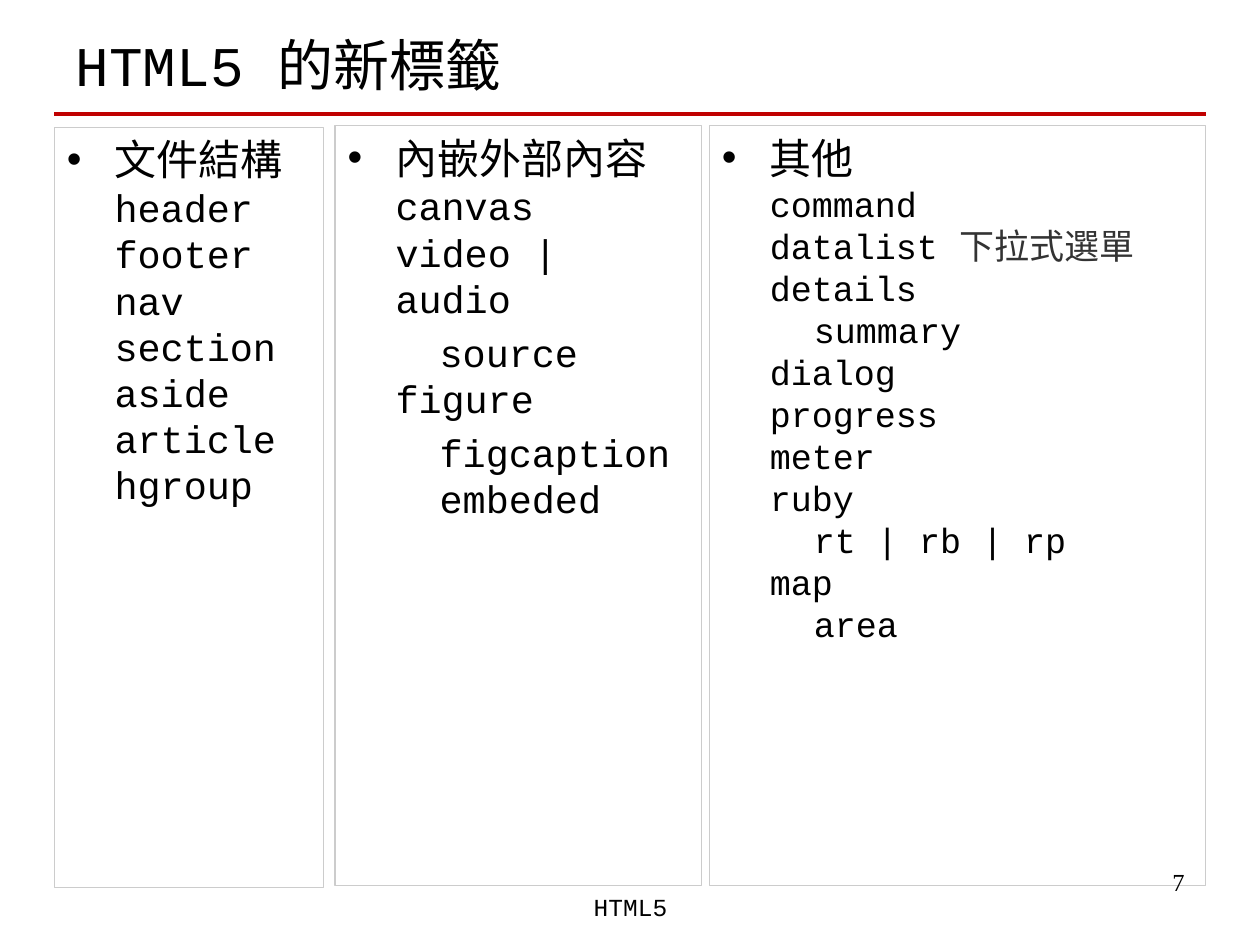
from dataclasses import dataclass

from lxml.etree import SubElement
from pptx import Presentation
from pptx.dml.color import RGBColor
from pptx.enum.shapes import MSO_CONNECTOR
from pptx.enum.text import MSO_ANCHOR, MSO_AUTO_SIZE, PP_ALIGN
from pptx.oxml.ns import qn
from pptx.slide import Slide
from pptx.util import Inches, Pt

BLACK = RGBColor(0x00, 0x00, 0x00)
GRAY = RGBColor(0x33, 0x33, 0x33)
BORDER = RGBColor(0xCC, 0xCC, 0xCC)
RED = RGBColor(0xC0, 0x00, 0x00)
WIDTH, HEIGHT = Inches(10), Inches(7.5)
MARGIN, NESTING = 0.38, 0.35

STRUCTURE = ["header", "footer", "nav", "section", "aside", "article", "hgroup"]
EMBEDDED = ["canvas", "video | audio", ">+source", "figure", ">+figcaption", ">embeded"]
OTHERS = ["command", "datalist |下拉式選單", "details", ">summary", "dialog",
          "progress", "meter", "ruby", ">rt | rb | rp", "map", ">area"]


@dataclass
class TagSlide:
    slide: Slide
    code_font: str = "Courier New"
    note_font: str = "Noto Sans CJK TC"
    number_font: str = "Times New Roman"

    def place(self, shape, left, top, width, height):
        shape.left, shape.width = int(left * WIDTH), int(width * WIDTH)
        shape.top, shape.height = int(top * HEIGHT), int(height * HEIGHT)

    def style(self, paragraph, size, font=None, align=PP_ALIGN.LEFT):
        paragraph.font.name = font or self.code_font
        paragraph.font.size = Pt(size)
        paragraph.font.bold = False
        paragraph.font.color.rgb = BLACK
        paragraph.alignment = align
        paragraph.space_before = paragraph.space_after = Pt(0)

    def title(self, text, *area):
        heading = self.slide.shapes.title
        self.place(heading, *area)
        heading.text_frame.text = text
        heading.text_frame.auto_size = MSO_AUTO_SIZE.NONE
        heading.text_frame.vertical_anchor = MSO_ANCHOR.MIDDLE
        self.style(heading.text_frame.paragraphs[0], 32)

    def rule(self, left, right, y):
        line = self.slide.shapes.add_connector(
            MSO_CONNECTOR.STRAIGHT, int(left * WIDTH), int(y * HEIGHT),
            int(right * WIDTH), int(y * HEIGHT))
        line.line.color.rgb = RED
        line.line.width = Pt(2.25)
        SubElement(line._element.spPr, qn("a:effectLst"))

    def label(self, text, align, font, *area):
        box = self.slide.shapes.add_textbox(0, 0, 0, 0)
        self.place(box, *area)
        box.text_frame.word_wrap = True
        box.text_frame.text = text
        self.style(box.text_frame.paragraphs[0], 14, font, align)

    def indent(self, paragraph, left, bullet=False):
        properties = paragraph._p.get_or_add_pPr()
        properties.set("marL", str(Inches(left)))
        properties.set("indent", str(Inches(-MARGIN if bullet else 0)))
        if bullet:
            color = SubElement(properties, qn("a:buClr"))
            SubElement(color, qn("a:srgbClr"), val=str(BLACK))
            SubElement(properties, qn("a:buFont"), typeface="Arial")
            SubElement(properties, qn("a:buChar"), char="•")
        else:
            SubElement(properties, qn("a:buNone"))

    def tag_list(self, index, heading, tags, size, *area):
        panel = self.slide.placeholders[index]
        self.place(panel, *area)
        panel.line.color.rgb = BORDER
        panel.line.width = Pt(0.75)
        frame = panel.text_frame
        frame.auto_size = MSO_AUTO_SIZE.NONE
        frame.vertical_anchor = MSO_ANCHOR.TOP
        frame.text = heading
        self.style(frame.paragraphs[0], 24)
        self.indent(frame.paragraphs[0], MARGIN, bullet=True)
        for tag in tags:
            self.tag(frame.add_paragraph(), tag, size)

    def tag(self, paragraph, tag, size):
        nested, spaced = tag.startswith(">"), tag.startswith(">+")
        name, bar, note = tag.lstrip(">+").partition(" |下")
        self.style(paragraph, size)
        if spaced:
            paragraph.space_before = Pt(4.4)
        self.indent(paragraph, MARGIN + NESTING * nested)
        paragraph.add_run().text = name + " " if note else name
        if note:
            remark = paragraph.add_run()
            remark.text = "下" + note
            remark.font.name = self.note_font
            remark.font.color.rgb = GRAY

    def drop(self, index):
        unused = self.slide.placeholders[index]._element
        unused.getparent().remove(unused)


def main():
    deck = Presentation()
    deck.slide_width, deck.slide_height = WIDTH, HEIGHT
    page = TagSlide(deck.slides.add_slide(deck.slide_layouts[4]))
    page.drop(3)
    page.title("HTML5 的新標籤", 0.05, 0.017, 0.9, 0.101)
    page.rule(0.043, 0.957, 0.121)
    page.tag_list(1, "文件結構", STRUCTURE, 22, 0.043, 0.135, 0.214, 0.804)
    page.tag_list(2, "內嵌外部內容", EMBEDDED, 22, 0.266, 0.133, 0.291, 0.804)
    page.tag_list(4, "其他", OTHERS, 20, 0.563, 0.133, 0.394, 0.804)
    page.label("HTML5", PP_ALIGN.CENTER, page.code_font, 0.342, 0.937, 0.317, 0.067)
    page.label("7", PP_ALIGN.RIGHT, page.number_font, 0.717, 0.911, 0.233, 0.069)
    deck.save("out.pptx")


if __name__ == "__main__":
    main()
